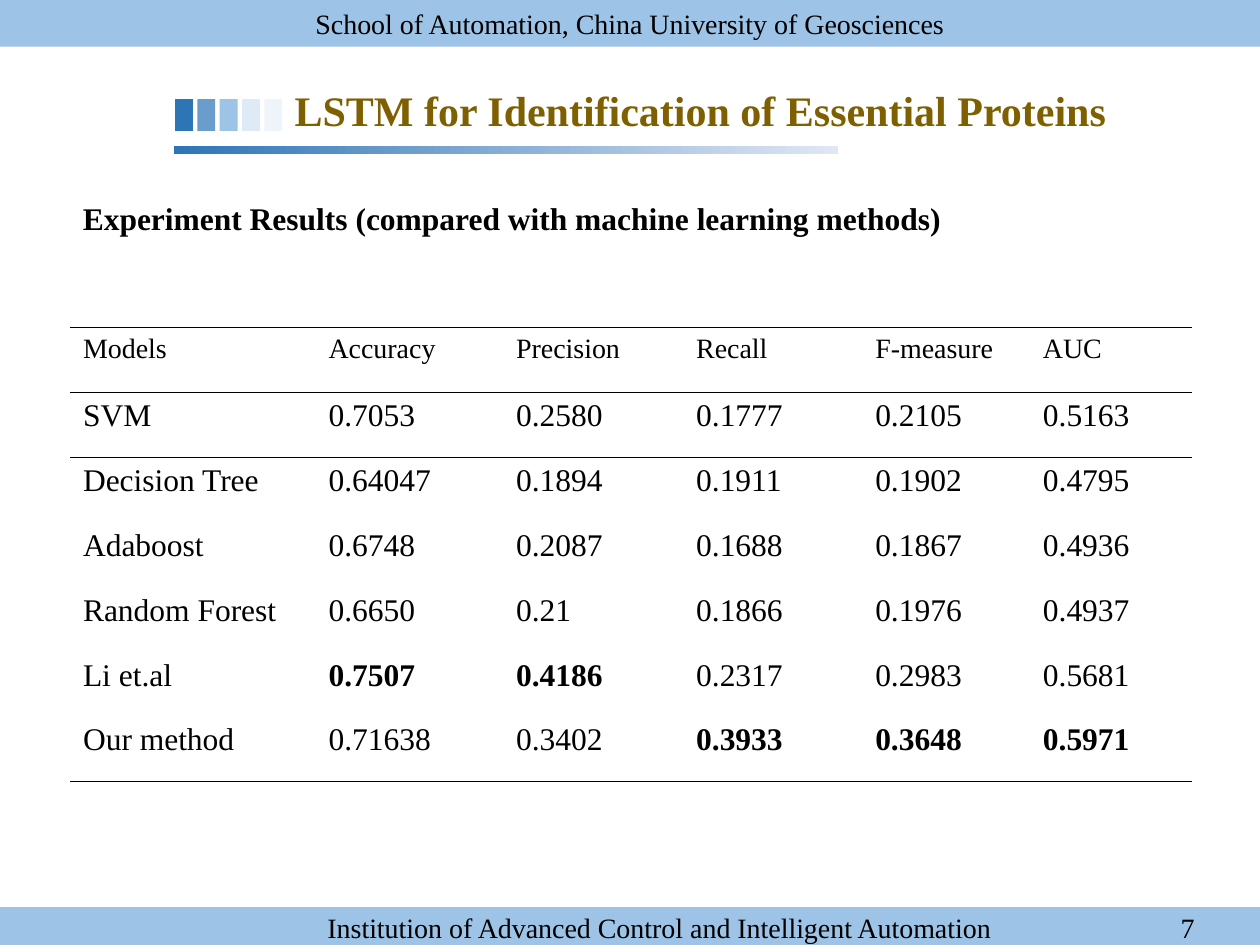
import lxml.etree
import pptx
import pptx.dml.color
import pptx.enum.shapes
import pptx.enum.text
import pptx.oxml.ns
import pptx.util

Cm = pptx.util.Cm
RGBColor = pptx.dml.color.RGBColor
Align = pptx.enum.text.PP_ALIGN
Anchor = pptx.enum.text.MSO_ANCHOR
qn = pptx.oxml.ns.qn

BLACK = RGBColor(0x00, 0x00, 0x00)
WHITE = RGBColor(0xFF, 0xFF, 0xFF)
GOLD = RGBColor(0x7F, 0x60, 0x00)
BLUE = RGBColor(0x2E, 0x75, 0xB6)
SKY = RGBColor(0x9D, 0xC3, 0xE6)
PALE = RGBColor(0xDE, 0xEB, 0xF7)
MIST = RGBColor(0xE0, 0xE7, 0xF4)

NO_TABLE_STYLE = "{2D5ABB26-0587-4C30-8999-92F81FD0307C}"

MODELS = [
    ("Models", "Accuracy", "Precision", "Recall", "F-measure", "AUC"),
    ("SVM", "0.7053", "0.2580", "0.1777", "0.2105", "0.5163"),
    ("Decision Tree", "0.64047", "0.1894", "0.1911", "0.1902", "0.4795"),
    ("Adaboost", "0.6748", "0.2087", "0.1688", "0.1867", "0.4936"),
    ("Random Forest", "0.6650", "0.21", "0.1866", "0.1976", "0.4937"),
    ("Li et.al", "0.7507", "0.4186", "0.2317", "0.2983", "0.5681"),
    ("Our method", "0.71638", "0.3402", "0.3933", "0.3648", "0.5971"),
]
COLUMN_WIDTHS = (4.95, 3.78, 3.63, 3.61, 3.38, 3.25)
UNFILLED_ROWS = (0, 2)


class SlideBuilder:
    """Holds the text style and the slide being built."""

    font_name = "Times New Roman"

    def __init__(self, slide):
        self.slide = slide

    def set_text(self, frame, text, size, color=BLACK, bold=False, align=Align.LEFT):
        paragraph = frame.paragraphs[0]
        paragraph.text = text
        paragraph.alignment = align
        font = paragraph.font
        font.name, font.size, font.bold = self.font_name, pptx.util.Pt(size), bold
        font.color.rgb = color

    def paint(self, fill, color):
        fill.solid()
        fill.fore_color.rgb = color

    def rectangle(self, left, top, width, height, color, opacity=100):
        shape = self.slide.shapes.add_shape(
            pptx.enum.shapes.MSO_SHAPE.RECTANGLE,
            Cm(left), Cm(top), Cm(width), Cm(height))
        shape.shadow.inherit = False
        shape.line.fill.background()
        self.paint(shape.fill, color)
        if opacity < 100:
            element = shape._element.spPr.find(".//" + qn("a:srgbClr"))
            lxml.etree.SubElement(element, qn("a:alpha"), val=str(opacity * 1000))
        return shape

    def gradient_bar(self, left, top, width, height, start, end):
        fill = self.rectangle(left, top, width, height, start).fill
        fill.gradient()
        fill.gradient_angle = 0
        for stop, color in zip(fill.gradient_stops, (start, end)):
            stop.color.rgb = color

    def text_box(self, left, top, width, height, text, size,
                 anchor=Anchor.TOP, **style):
        box = self.slide.shapes.add_textbox(Cm(left), Cm(top), Cm(width), Cm(height))
        frame = box.text_frame
        frame.word_wrap = True
        frame.vertical_anchor = anchor
        self.set_text(frame, text, size, **style)
        return box

    def cell_border(self, cell, side):
        properties = cell._tc.get_or_add_tcPr()
        line = lxml.etree.Element(qn("a:ln" + side), w=str(pptx.util.Pt(0.45)))
        solid = lxml.etree.SubElement(line, qn("a:solidFill"))
        lxml.etree.SubElement(solid, qn("a:srgbClr"), val=str(BLACK))
        # Border lines come before the cell fill, top before bottom
        properties.insert(len(properties.findall(qn("a:lnT"))), line)

    def table(self, left, top, height, widths, rows):
        shape = self.slide.shapes.add_table(
            len(rows), len(widths), Cm(left), Cm(top), Cm(sum(widths)), Cm(height))
        table = shape.table
        table.horz_banding = False
        table._tbl.tblPr.find(qn("a:tableStyleId")).text = NO_TABLE_STYLE
        for column, width in zip(table.columns, widths):
            column.width = Cm(width)
        # The best value of each measure is bold
        best = [max(values[1:], key=float) for values in list(zip(*rows))[1:]]
        for row_index, values in enumerate(rows):
            for column_index, value in enumerate(values):
                cell = table.cell(row_index, column_index)
                is_best = column_index > 0 and value == best[column_index - 1]
                self.set_text(cell.text_frame, value, 18 if row_index else 16,
                              bold=is_best)
                if row_index in UNFILLED_ROWS:
                    cell.fill.background()
                else:
                    self.paint(cell.fill, WHITE)
                if row_index in (0, 1):
                    self.cell_border(cell, "T")
                if row_index in (0, len(rows) - 1):
                    self.cell_border(cell, "B")


def main():
    presentation = pptx.Presentation()
    presentation.slide_width, presentation.slide_height = Cm(25.4), Cm(19.05)
    builder = SlideBuilder(presentation.slides.add_slide(presentation.slide_layouts[6]))

    # Header and footer bands
    header = builder.rectangle(0, 0, 25.4, 0.94, SKY)
    header.text_frame.vertical_anchor = Anchor.MIDDLE
    builder.set_text(header.text_frame,
                     "School of Automation, China University of Geosciences",
                     16, align=Align.CENTER)
    builder.rectangle(0, 18.29, 25.4, 0.76, SKY)

    # Fading squares and rule beside the title
    squares = [(BLUE, 100), (BLUE, 71), (SKY, 100), (PALE, 100), (PALE, 50)]
    for index, (color, opacity) in enumerate(squares):
        builder.rectangle(3.53 + index * 0.45, 2, 0.36, 0.64, color, opacity)
    builder.gradient_bar(3.51, 2.95, 13.39, 0.15, BLUE, MIST)

    # Footer text and page number
    footer = builder.text_box(
        5.69, 18.19, 15.67, 1.02,
        "Institution of Advanced Control and Intelligent Automation",
        16, anchor=Anchor.MIDDLE, align=Align.CENTER)
    footer.text_frame.margin_right = Cm(0.71)
    builder.text_box(22.73, 18.19, 1.6, 1.02, "7", 16,
                     anchor=Anchor.MIDDLE, align=Align.RIGHT)

    # Title and subtitle
    builder.text_box(5.69, 1.57, 19.3, 1.27,
                     "LSTM for Identification of Essential Proteins",
                     24, color=GOLD, bold=True)
    builder.text_box(1.42, 3.89, 20.83, 2.54,
                     "Experiment Results (compared with machine learning methods)",
                     18, bold=True)

    # Results table
    builder.table(1.42, 6.6, 9.15, COLUMN_WIDTHS, MODELS)

    presentation.save("out.pptx")


if __name__ == "__main__":
    main()
